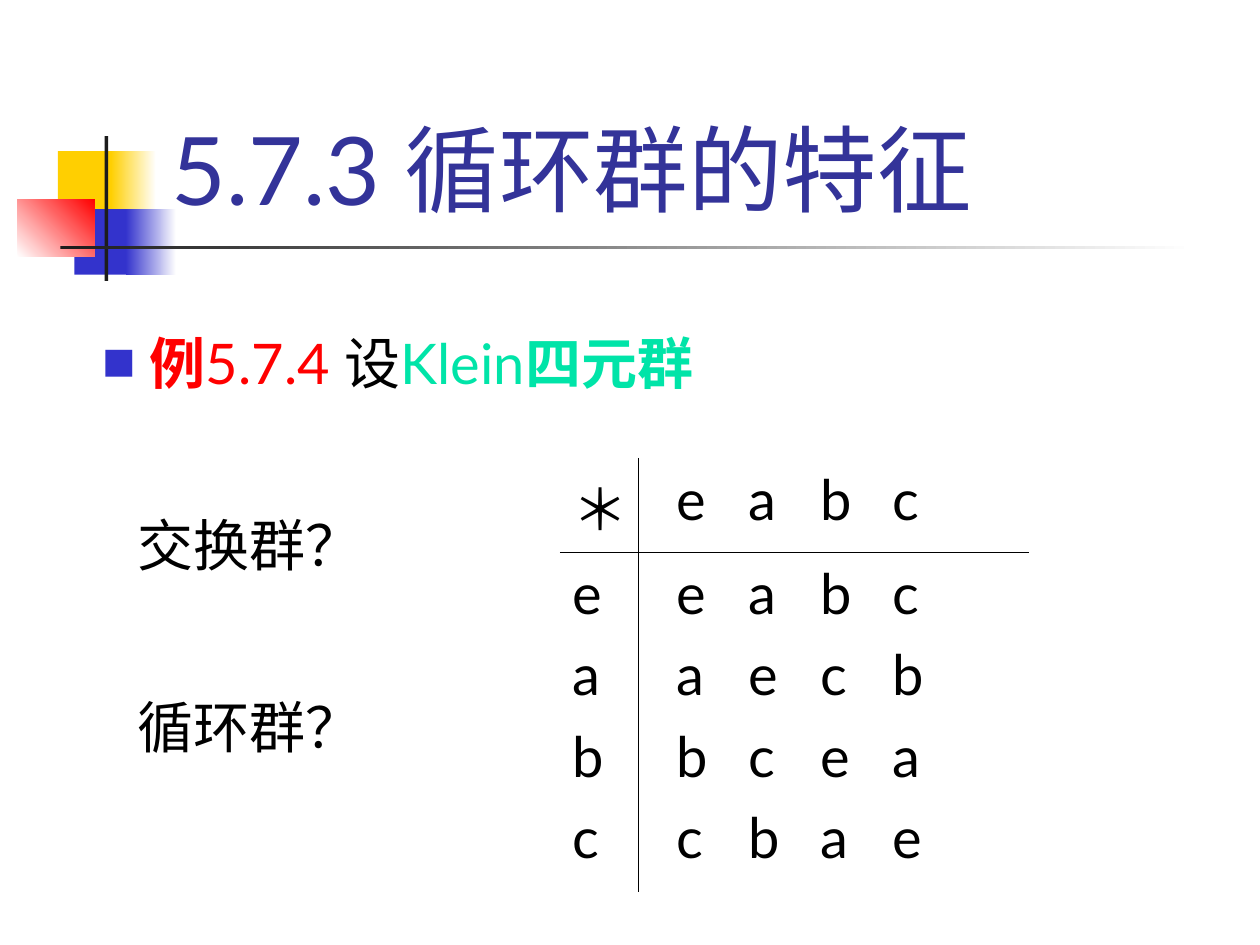
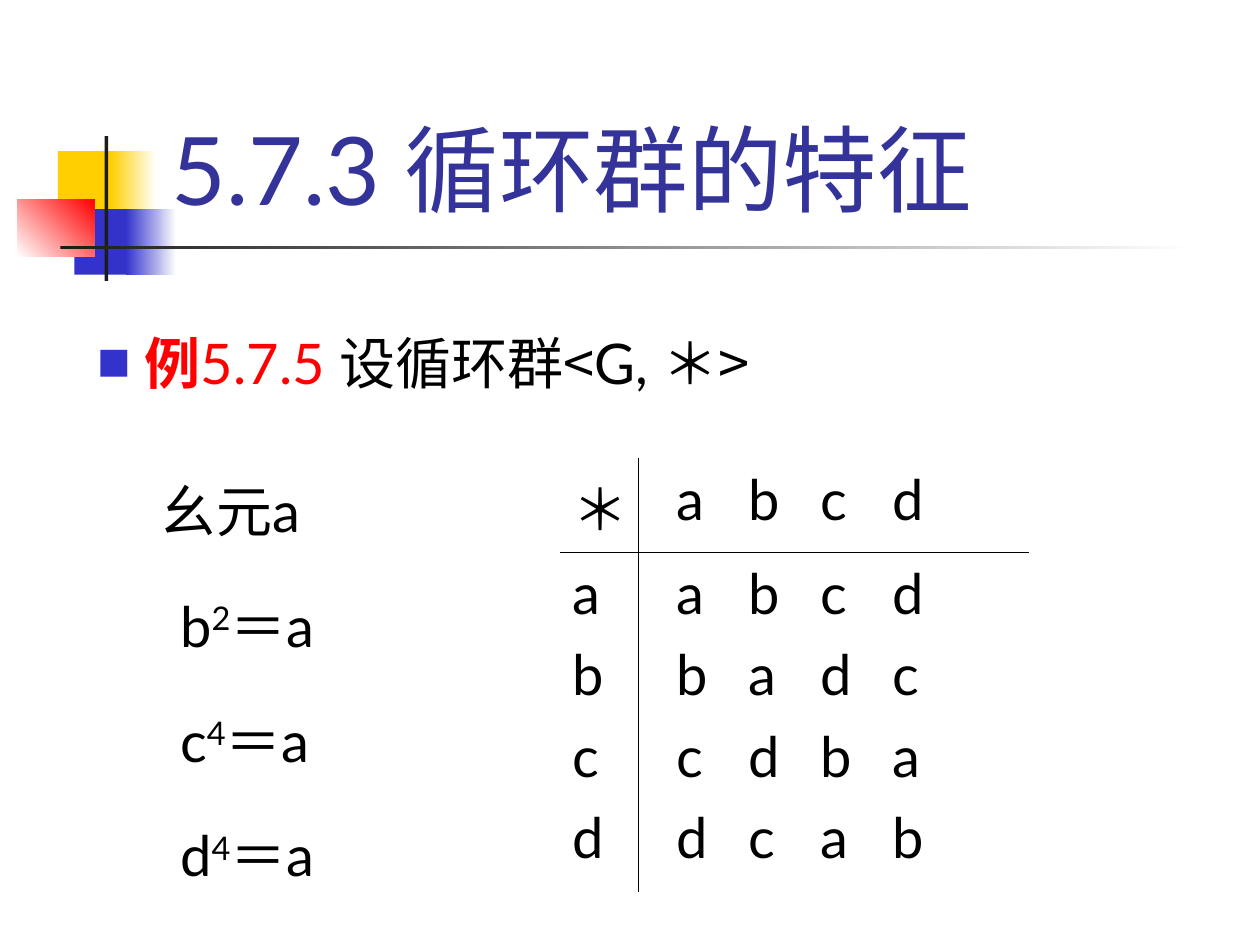
from dataclasses import dataclass
from typing import Optional

from lxml.etree import SubElement
from pptx import Presentation
from pptx.dml.color import RGBColor
from pptx.enum.shapes import MSO_SHAPE
from pptx.enum.text import MSO_ANCHOR, MSO_AUTO_SIZE, PP_ALIGN
from pptx.oxml import parse_xml
from pptx.oxml.ns import nsdecls, qn
from pptx.util import Inches, Pt

# Shared look
LATIN, CJK = "Lato", "Noto Sans CJK SC"
BLACK, WHITE, RED, MINT = "000000", "FFFFFF", "FF0000", "00E4A8"
YELLOW, BLUE, NAVY, DARK = "FFCF01", "3333CC", "333399", "1C1C1C"
TITLE = "5.7.3 循环群的特征"
TITLE_SIZE, TEXT_SIZE, SPACE_BEFORE = 54, 32, 8
HANG = 0.38
TAB_START, TAB_STEP = 0.21, 0.57


@dataclass
class Block:
    left: float
    top: float
    width: float
    height: float
    color: str
    end_color: Optional[str] = None
    angle: float = 0


@dataclass
class Run:
    text: str
    color: str = BLACK
    bold: bool = False
    font: str = LATIN
    raised: bool = False


@dataclass
class Para:
    runs: list[Run]
    spacing: float
    indent: float = 0
    bullet: bool = False


@dataclass
class GroupSlide:
    body_left: float
    paras: list[Para]
    elements: str
    products: list[str]


MOTIF = [
    Block(0.46, 1.2, 0.48, 0.52, YELLOW),
    Block(0.88, 1.2, 0.36, 0.52, YELLOW, WHITE),
    Block(0.59, 1.66, 0.46, 0.52, BLUE),
    Block(1, 1.66, 0.4, 0.52, BLUE, WHITE),
    Block(0.14, 1.58, 0.61, 0.46, WHITE, RED, 45),
    Block(0.83, 1.08, 0.03, 1.15, DARK),
    Block(0.48, 1.95, 9, 0.03, DARK, WHITE),
]


def power(base: str, exponent: str) -> Para:
    runs = [Run(base), Run(exponent, raised=True), Run("＝a")]
    return Para(runs, 1.5, 0.66)


def example(number: str, *rest: Run) -> Para:
    return Para([Run("例", RED, True), Run(number + " ", RED), *rest], 2, bullet=True)


SLIDES = [
    GroupSlide(
        0.71,
        [
            example("5.7.4", Run("设"), Run("Klein", MINT), Run("四元群", MINT, True)),
            Para([Run("交换群？")], 2.5, 0.28),
            Para([Run("循环群？")], 2.5, 0.28),
        ],
        "eabc",
        ["eabc", "aecb", "bcea", "cbae"],
    ),
    GroupSlide(
        0.67,
        [
            example("5.7.5", Run("设循环群"), Run("<", font=CJK), Run("G, "),
                    Run("＊>", font=CJK)),
            Para([Run("幺元a")], 2, 0.5),
            power("b", "2"),
            power("c", "4"),
            power("d", "4"),
        ],
        "abcd",
        ["abcd", "badc", "cdba", "dcab"],
    ),
]


def rgb(value: str) -> RGBColor:
    return RGBColor.from_string(value)


def place(s, left: float, top: float, width: float, height: float) -> None:
    box = {"left": left, "top": top, "width": width, "height": height}
    for name, value in box.items():
        setattr(s, name, Inches(value))


def add_run(p, run: Run, size: float) -> None:
    r = p.add_run()
    r.text = run.text
    for name, value in {"size": Pt(size), "bold": run.bold, "name": run.font}.items():
        setattr(r.font, name, value)
    r.font.color.rgb = rgb(run.color)
    r_pr = r.font.element if hasattr(r.font, "element") else r._r.get_or_add_rPr()
    r_pr.find(qn("a:latin")).addnext(
        parse_xml(f'<a:ea {nsdecls("a")} typeface="{CJK}"/>'))
    if run.raised:
        r_pr.set("baseline", "30000")


def next_para(tf, index: int):
    p = tf.add_paragraph() if index else tf.paragraphs[0]
    p.space_before = Pt(SPACE_BEFORE if index else 0)
    return p


def set_bullet(p, para: Para) -> None:
    p_pr = p._p.get_or_add_pPr()
    margin = HANG if para.bullet else para.indent
    p_pr.set("marL", str(Inches(margin)))
    p_pr.set("indent", str(Inches(-HANG if para.bullet else 0)))
    if not para.bullet:
        SubElement(p_pr, qn("a:buNone"))
        return
    SubElement(SubElement(p_pr, qn("a:buClr")), qn("a:srgbClr"), val=BLUE)
    SubElement(p_pr, qn("a:buSzPct"), val="60000")
    SubElement(p_pr, qn("a:buFont"), typeface=CJK)
    SubElement(p_pr, qn("a:buChar"), char="■")


def add_motif(slide, layout) -> None:
    """Draw the colour blocks and move them to the shared layout."""
    for i, block in enumerate(MOTIF):
        s = slide.shapes.add_shape(MSO_SHAPE.RECTANGLE, 0, 0, 0, 0)
        place(s, block.left, block.top, block.width, block.height)
        s.shadow.inherit = False
        s.line.fill.background()
        if block.end_color:
            s.fill.gradient()
            s.fill.gradient_angle = block.angle
            for stop, color in zip(s.fill.gradient_stops, (block.color, block.end_color)):
                stop.color.rgb = rgb(color)
        else:
            s.fill.solid()
            s.fill.fore_color.rgb = rgb(block.color)
        layout.shapes.element.insert(2 + i, s.element)


def add_title(slide) -> None:
    s = slide.shapes.title
    place(s, 1.26, 0.23, 8.52, 1.6)
    tf = s.text_frame
    frame = {"vertical_anchor": MSO_ANCHOR.BOTTOM, "word_wrap": True,
             "auto_size": MSO_AUTO_SIZE.NONE}
    for name, value in frame.items():
        setattr(tf, name, value)
    p = tf.paragraphs[0]
    p.alignment, p.line_spacing = PP_ALIGN.LEFT, 1.3
    add_run(p, Run(TITLE, NAVY), TITLE_SIZE)


def add_body(slide, left: float, paras: list[Para]) -> None:
    s = slide.placeholders[1]
    place(s, left, 2.02, 9.33, 5.48)
    tf = s.text_frame
    tf.word_wrap, tf.auto_size = True, MSO_AUTO_SIZE.NONE
    for i, para in enumerate(paras):
        p = next_para(tf, i)
        set_bullet(p, para)
        p.line_spacing = para.spacing
        for run in para.runs:
            add_run(p, run, TEXT_SIZE)


def fill_cell(cell, lines: list[str], borders: list[str]) -> None:
    margins = {"margin_left": 0.09, "margin_right": 0.09,
               "margin_top": 0.05, "margin_bottom": 0.05}
    for name, value in margins.items():
        setattr(cell, name, Inches(value))
    cell.fill.background()
    for i, side in enumerate(borders):
        cell._tc.get_or_add_tcPr().insert(i, parse_xml(
            f'<a:ln{side} {nsdecls("a")} w="{Pt(0.45)}"><a:solidFill>'
            f'<a:srgbClr val="{BLACK}"/></a:solidFill></a:ln{side}>'))
    for i, line in enumerate(lines):
        p = next_para(cell.text_frame, i)
        if "\t" in line:
            tabs = SubElement(p._p.get_or_add_pPr(), qn("a:tabLst"))
            for n in range(line.count("\t")):
                stop = Inches(TAB_START + n * TAB_STEP)
                SubElement(tabs, qn("a:tab"), pos=str(stop), algn="l")
        add_run(p, Run(line), TEXT_SIZE)


def tabbed(symbols: str) -> str:
    return "".join("\t" + symbol for symbol in symbols)


def add_operation_table(slide, elements: str, products: list[str]) -> None:
    table = slide.shapes.add_table(
        2, 2, Inches(4.45), Inches(3.64), Inches(3.71), Inches(3.33)).table
    table.first_row = table.horz_banding = False
    for col, width in zip(table.columns, (0.62, 3.09)):
        col.width = Inches(width)
    for row, height in zip(table.rows, (0.63, 2.7)):
        row.height = Inches(height)
    fill_cell(table.cell(0, 0), ["＊"], ["R", "B"])
    fill_cell(table.cell(0, 1), [tabbed(elements)], ["L", "B"])
    fill_cell(table.cell(1, 0), list(elements), ["R", "T"])
    fill_cell(table.cell(1, 1), [tabbed(row) for row in products], ["L", "T"])


def main() -> None:
    prs = Presentation()
    prs.slide_width, prs.slide_height = Inches(10), Inches(7.5)
    layout = prs.slide_layouts[1]
    for i, content in enumerate(SLIDES):
        slide = prs.slides.add_slide(layout)
        if i == 0:
            add_motif(slide, layout)
        add_title(slide)
        add_operation_table(slide, content.elements, content.products)
        add_body(slide, content.body_left, content.paras)
    prs.save("out.pptx")


if __name__ == "__main__":
    main()
